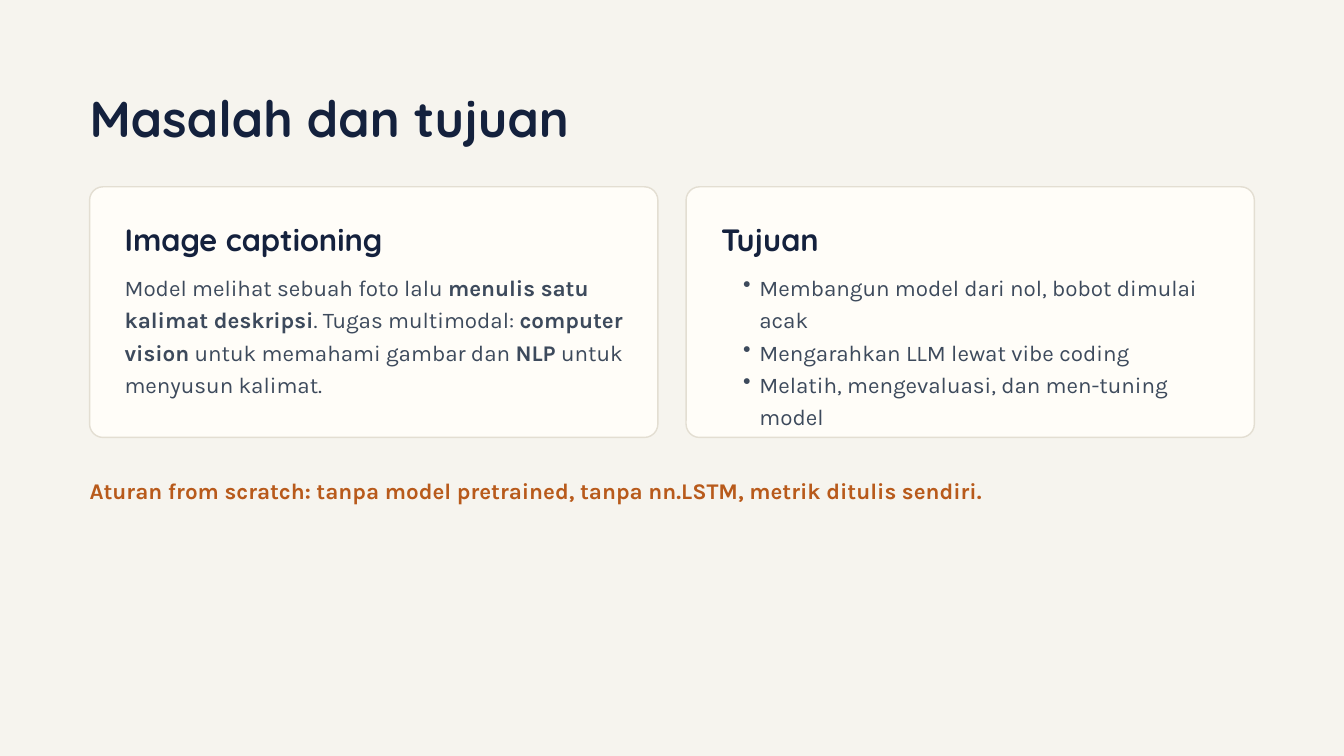
from lxml.etree import SubElement
from pptx import Presentation
from pptx.dml.color import RGBColor
from pptx.enum.shapes import MSO_SHAPE
from pptx.enum.text import MSO_AUTO_SIZE
from pptx.oxml.ns import qn
from pptx.util import Inches, Pt

COLORS = {"paper": "F6F4EE", "card": "FFFDF8", "border": "E3DED2",
          "navy": "14213D", "body": "3D4A5C", "accent": "B85A1B"}

# Grid: side margins and two equal columns with a gutter
SLIDE_W, SLIDE_H = 20, 11.25
MARGIN, GUTTER = SLIDE_W / 15, 0.42
COLUMN_W = (SLIDE_W - 2 * MARGIN - GUTTER) / 2
CARD_TOP, CARD_H, CORNER = 2.78, 3.73, 0.2
PAD, TEXT_W = 0.52, 7.65
HEADING_TOP, BODY_TOP = 3.29, 3.99
LIST_INSET = 0.1


def color(name):
    return RGBColor.from_string(COLORS[name])


def add_text(left, top, width, height, paragraphs, font, size, ink, leading, bullet=False):
    """Each paragraph is a list of (wording, bold) runs."""
    frame = slide.shapes.add_textbox(
        Inches(left), Inches(top), Inches(width), Inches(height)).text_frame
    frame.word_wrap = True
    frame.auto_size = MSO_AUTO_SIZE.SHAPE_TO_FIT_TEXT
    frame.margin_left = frame.margin_right = frame.margin_top = frame.margin_bottom = 0
    for index, runs in enumerate(paragraphs):
        paragraph = frame.paragraphs[0] if index == 0 else frame.add_paragraph()
        paragraph.line_spacing = Pt(leading)
        if bullet:
            paragraph.level = 1
            properties = paragraph._p.get_or_add_pPr()
            properties.set("marL", str(Inches(0.47)))
            properties.set("indent", str(Inches(-0.24)))
            SubElement(properties, qn("a:buChar"), char="•")
        for wording, bold in runs:
            run = paragraph.add_run()
            run.text = wording
            run.font.name, run.font.size, run.font.bold = font, Pt(size), bold
            run.font.color.rgb = color(ink)


presentation = Presentation()
presentation.slide_width, presentation.slide_height = Inches(SLIDE_W), Inches(SLIDE_H)
slide = presentation.slides.add_slide(presentation.slide_layouts[6])
slide.background.fill.solid()
slide.background.fill.fore_color.rgb = color("paper")

# Title
add_text(MARGIN, 1.34, 17.85, 0.89, [[("Masalah dan tujuan", True)]],
         "Quicksand", 54, "navy", 62.1)

# Two cards: the problem and the goals
problem = [[("Model melihat sebuah foto lalu ", False),
            ("menulis satu kalimat deskripsi", True),
            (". Tugas multimodal: ", False),
            ("computer vision", True),
            (" untuk memahami gambar dan ", False),
            ("NLP", True),
            (" untuk menyusun kalimat.", False)]]
goals = [[("Membangun model dari nol, bobot dimulai acak", False)],
         [("Mengarahkan LLM lewat vibe coding", False)],
         [("Melatih, mengevaluasi, dan men-tuning model", False)]]
cards = [("Image captioning", problem, False), ("Tujuan", goals, True)]

for column, (heading, body, bulleted) in enumerate(cards):
    left = MARGIN + column * (COLUMN_W + GUTTER)
    card = slide.shapes.add_shape(
        MSO_SHAPE.ROUNDED_RECTANGLE,
        Inches(left), Inches(CARD_TOP), Inches(COLUMN_W), Inches(CARD_H))
    card.adjustments[0] = CORNER / CARD_H
    card.shadow.inherit = False
    card.fill.solid()
    card.fill.fore_color.rgb = color("card")
    card.line.color.rgb = color("border")
    card.line.width = Pt(1.5)

    add_text(left + PAD, HEADING_TOP, TEXT_W, 0.6, [[(heading, True)]],
             "Quicksand", 33, "navy", 39.6)
    inset = LIST_INSET if bulleted else 0
    add_text(left + PAD + inset, BODY_TOP, TEXT_W - inset, 2, body,
             "Karla", 24, "body", 34.8, bulleted)

# Rule below the cards
add_text(MARGIN, 7.04, 17.85, 0.56,
         [[("Aturan from scratch: tanpa model pretrained, tanpa nn.LSTM, "
            "metrik ditulis sendiri.", True)]],
         "Karla", 24, "accent", 33.6)

presentation.save("out.pptx")
